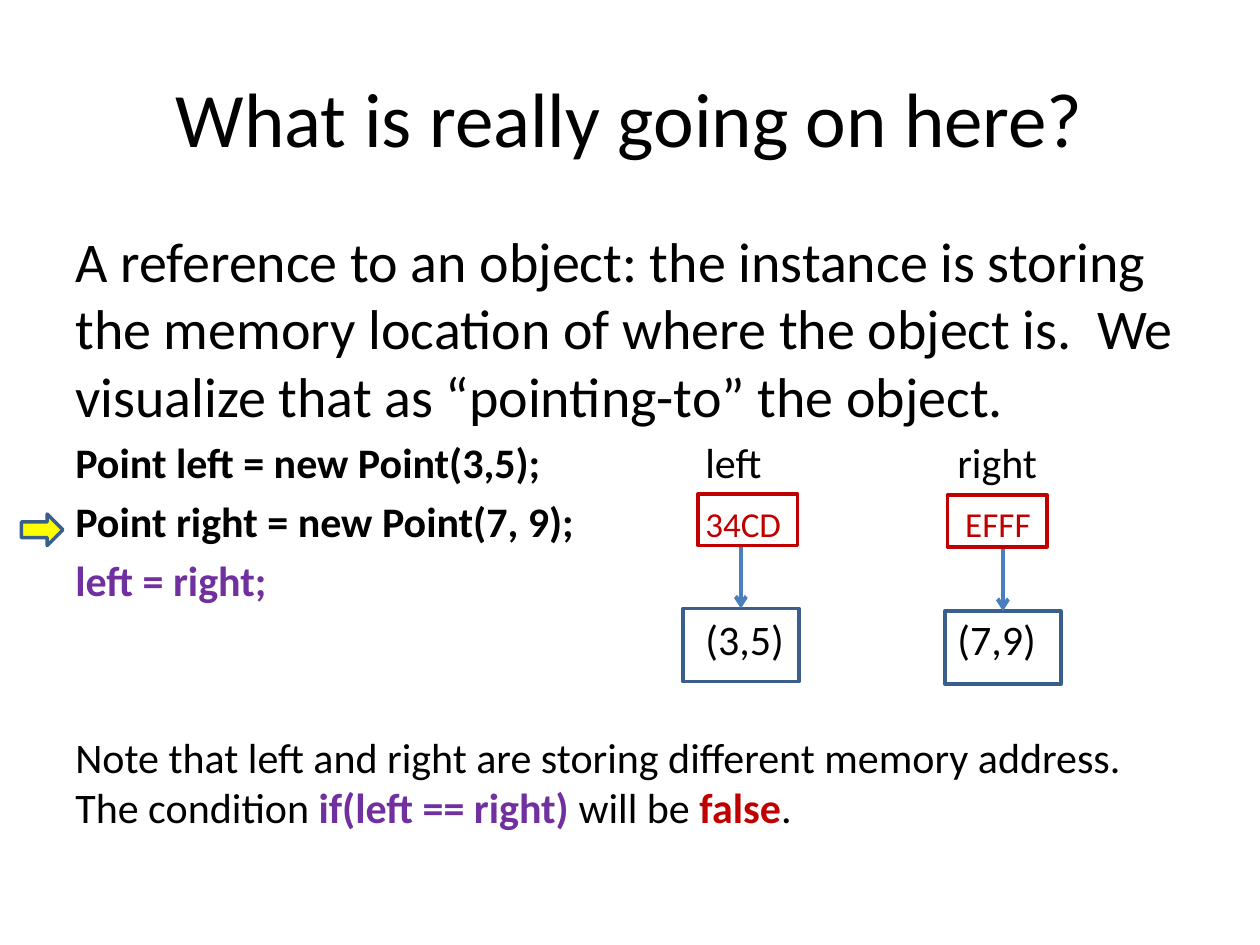
from lxml.etree import SubElement
from pptx import Presentation
from pptx.dml.color import RGBColor
from pptx.enum.shapes import MSO_CONNECTOR, MSO_SHAPE
from pptx.enum.text import MSO_ANCHOR, PP_ALIGN
from pptx.oxml.ns import qn
from pptx.util import Inches, Pt

BLACK, PURPLE, RED = "000000", "7030A0", "C00000"
NAVY, BLUE, YELLOW = "3A5F8C", "4B7EBC", "FFFF00"
TAB_STOPS = (5, 7)


def color(value):
    return RGBColor.from_string(value)


def style(font, size, value, bold=False):
    font.name = "Calibri"
    font.size = Pt(size)
    font.bold = bold
    font.color.rgb = color(value)


def add_text_frame(slide, left, top, width, height, anchor):
    box = slide.shapes.add_textbox(Inches(left), Inches(top), Inches(width), Inches(height))
    box.text_frame.word_wrap = True
    box.text_frame.vertical_anchor = anchor
    return box.text_frame


def set_tab_stops(paragraph):
    tabs = SubElement(paragraph._p.get_or_add_pPr(), qn("a:tabLst"))
    for stop in TAB_STOPS:
        SubElement(tabs, qn("a:tab"), pos=str(Inches(stop)), algn="l")


def write_paragraph(paragraph, runs, space_before):
    paragraph.space_before = Pt(space_before)
    if any("\t" in text for text, *_ in runs):
        set_tab_stops(paragraph)
    if len(runs) == 1:
        text, *look = runs[0]
        paragraph.text = text
        style(paragraph.font, *look)
        return
    for text, *look in runs:
        run = paragraph.add_run()
        run.text = text
        style(run.font, *look)


def add_title(slide, text):
    title = add_text_frame(slide, 0.5, 0.3, 9, 1.25, MSO_ANCHOR.MIDDLE).paragraphs[0]
    title.text = text
    title.alignment = PP_ALIGN.CENTER
    style(title.font, 44, BLACK)


def add_body(slide, paragraphs):
    frame = add_text_frame(slide, 0.5, 1.75, 9, 5.58, MSO_ANCHOR.TOP)
    for index, (space_before, runs) in enumerate(paragraphs):
        paragraph = frame.add_paragraph() if index else frame.paragraphs[0]
        write_paragraph(paragraph, runs, space_before)


def add_outline(slide, kind, left, top, width, height, line, fill=None):
    shape = slide.shapes.add_shape(kind, Inches(left), Inches(top), Inches(width), Inches(height))
    shape.shadow.inherit = False
    shape.line.color.rgb = color(line)
    shape.line.width = Pt(2)
    if fill:
        shape.fill.solid()
        shape.fill.fore_color.rgb = color(fill)
    else:
        shape.fill.background()
    return shape


def add_pointer(slide, start_y, target):
    x = target.left + target.width // 2
    pointer = slide.shapes.add_connector(
        MSO_CONNECTOR.STRAIGHT, x, Inches(start_y), x, target.top)
    pointer.end_connect(target, 0)
    pointer.line.color.rgb = color(BLUE)
    pointer.line.width = Pt(2.25)
    SubElement(pointer.line._get_or_add_ln(), qn("a:tailEnd"), type="arrow")
    SubElement(pointer._element.spPr, qn("a:effectLst"))


def add_reference(slide, address_left, address_top, object_left, object_top):
    height = 0.41
    target = add_outline(slide, MSO_SHAPE.RECTANGLE, object_left, object_top, 0.92, 0.58, NAVY)
    add_pointer(slide, address_top + height, target)
    add_outline(slide, MSO_SHAPE.RECTANGLE, address_left, address_top, 0.79, height, RED)


def main():
    presentation = Presentation()
    presentation.slide_width = Inches(10)
    presentation.slide_height = Inches(7.5)
    slide = presentation.slides.add_slide(presentation.slide_layouts[6])

    add_title(slide, "What is really going on here?")
    add_body(slide, [
        (6.4, [("A reference to an object: the instance is storing the memory location "
                "of where the object is.  We visualize that as “pointing-to” the object.",
                32, BLACK)]),
        (4.8, [("Point left = new Point(3,5);", 24, BLACK, True),
               ("\tleft\tright", 24, BLACK)]),
        (4.8, [("Point right = new Point(7, 9);\t", 24, BLACK, True),
               ("34CD\t EFFF", 20, RED)]),
        (4.8, [("left = right;", 24, PURPLE, True)]),
        (4.8, [("\t(3,5)\t(7,9)", 24, BLACK)]),
        (38.9, [("Note that left and right are storing different memory address. "
                 "The condition ", 24, BLACK),
                ("if(left == right) ", 24, PURPLE, True),
                ("will be ", 24, BLACK),
                ("false", 24, RED, True),
                (".", 24, BLACK)]),
    ])

    add_outline(slide, MSO_SHAPE.RIGHT_ARROW, 0.17, 4.08, 0.33, 0.25, NAVY, YELLOW)
    add_reference(slide, 5.54, 3.92, 5.42, 4.83)
    add_reference(slide, 7.52, 3.93, 7.5, 4.85)

    presentation.save("out.pptx")


if __name__ == "__main__":
    main()
